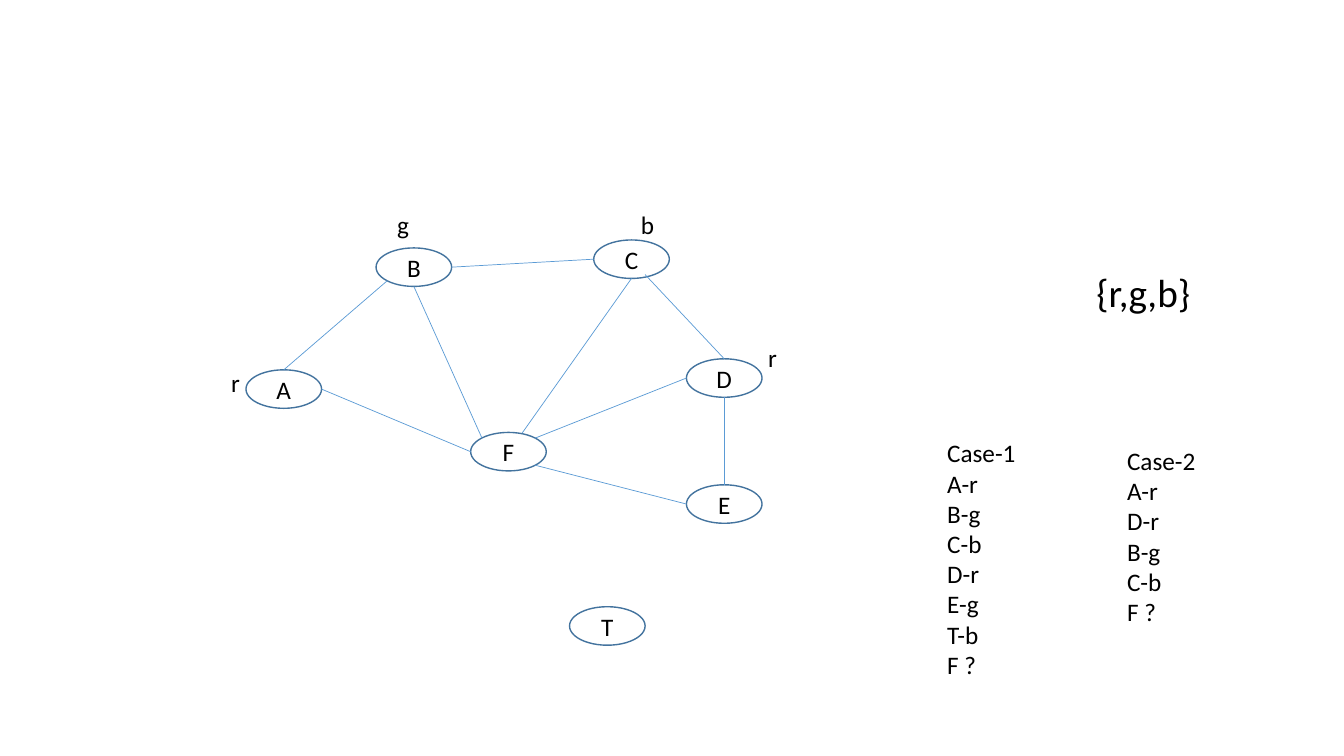
from dataclasses import dataclass

from lxml import etree
from pptx import Presentation
from pptx.dml.color import RGBColor
from pptx.enum.shapes import MSO_CONNECTOR, MSO_SHAPE
from pptx.enum.text import MSO_ANCHOR, MSO_AUTO_SIZE, PP_ALIGN
from pptx.oxml.ns import qn
from pptx.util import Pt


@dataclass(frozen=True)
class Theme:
    font: str = "Calibri"
    text: RGBColor = RGBColor(0x00, 0x00, 0x00)
    outline: RGBColor = RGBColor(0x43, 0x73, 0x9E)
    edge: RGBColor = RGBColor(0x5B, 0x9B, 0xD5)
    body: int = 18
    large: int = 28
    outline_width: float = 1
    edge_width: float = 0.5


THEME = Theme()
NODE_W, NODE_H = 54, 27.5

# Left and top of each node inside the graph box
NODES = {
    "B": (110.6, 31.1),
    "A": (17.7, 118.2),
    "D": (332.3, 110.3),
    "C": (266.1, 25.4),
    "E": (332.3, 200.3),
    "T": (248.8, 287.4),
    "F": (178.2, 162.9),
}

# Points on a node, as shares of its width and height
SITES = {
    "top": (0.5, 0),
    "left": (0, 0.5),
    "bottom": (0.5, 1),
    "right": (1, 0.5),
    "top left": (0.15, 0.15),
    "top right": (0.85, 0.15),
    "bottom left": (0.15, 0.85),
    "bottom right": (0.85, 0.85),
    "upper arc": (0.68, 0.02),
    "lower arc": (0.68, 0.9),
}

EDGES = [
    ("A", "top", "B", "bottom left"),
    ("B", "right", "C", "left"),
    ("C", "lower arc", "D", "top"),
    ("D", "bottom", "E", "top"),
    ("F", "bottom right", "E", "left"),
    ("F", "top right", "D", "left"),
    ("F", "upper arc", "C", "bottom"),
    ("F", "top left", "B", "bottom"),
    ("F", "left", "A", "right"),
]

# Text, left, top and width of each colour label inside the graph box
COLOUR_LABELS = [
    ("r", 0, 112.5, 21),
    ("r", 383.5, 95.2, 21),
    ("g", 118.5, 0, 23),
    ("b", 292.7, 0, 24.5),
]

# One inner list per paragraph, one entry per line
CASE_1 = [["Case-1"], ["A-r", "B-g", "C-b"], ["D-r"], ["E-g"], ["T-b"], ["F ?"]]
CASE_2 = [["Case-2"], ["A-r", "D-r", "B-g"], ["C-b"], ["F ?"]]


def add_run(p, text, size):
    r = p.add_run()
    r.text = text
    r.font.name = THEME.font
    r.font.size = Pt(size)
    r.font.color.rgb = THEME.text


def add_text(s, box, paragraphs, size=THEME.body):
    tf = s.shapes.add_textbox(*map(Pt, box)).text_frame
    tf.word_wrap = False
    tf.auto_size = MSO_AUTO_SIZE.SHAPE_TO_FIT_TEXT
    for i, lines in enumerate(paragraphs):
        p = tf.add_paragraph() if i else tf.paragraphs[0]
        for j, line in enumerate(lines):
            if j:
                p.add_line_break()
            add_run(p, line, size)


def add_node(s, x, y, name):
    sp = s.shapes.add_shape(MSO_SHAPE.OVAL, Pt(x), Pt(y), Pt(NODE_W), Pt(NODE_H))
    sp.shadow.inherit = False
    sp.fill.background()
    sp.line.color.rgb = THEME.outline
    sp.line.width = Pt(THEME.outline_width)
    tf = sp.text_frame
    tf.vertical_anchor = MSO_ANCHOR.MIDDLE
    p = tf.paragraphs[0]
    p.alignment = PP_ALIGN.CENTER
    add_run(p, name, THEME.body)


def add_edge(s, start, end):
    line = s.shapes.add_connector(MSO_CONNECTOR.STRAIGHT, *map(Pt, start + end))
    line.line.color.rgb = THEME.edge
    line.line.width = Pt(THEME.edge_width)
    etree.SubElement(line._element.spPr, qn("a:effectLst"))


def add_graph(s, left, top):
    """Draw the nodes, edges and colour labels from the given corner."""
    def point(node, site):
        (x, y), (fx, fy) = NODES[node], SITES[site]
        return left + x + fx * NODE_W, top + y + fy * NODE_H

    for name, (x, y) in NODES.items():
        add_node(s, left + x, top + y, name)
    for node_a, site_a, node_b, site_b in EDGES:
        add_edge(s, point(node_a, site_a), point(node_b, site_b))
    for text, x, y, width in COLOUR_LABELS:
        add_text(s, (left + x, top + y, width, 29), [[text]])


def main():
    prs = Presentation()
    prs.slide_width, prs.slide_height = Pt(960), Pt(540)
    s = prs.slides.add_slide(prs.slide_layouts[6])
    add_graph(s, 158, 146)
    add_text(s, (776, 188, 82, 41), [["{r,g,b}"]], THEME.large)
    add_text(s, (669.5, 309, 64, 181.5), CASE_1)
    add_text(s, (798, 314.5, 64, 138), CASE_2)
    prs.save("out.pptx")


if __name__ == "__main__":
    main()
